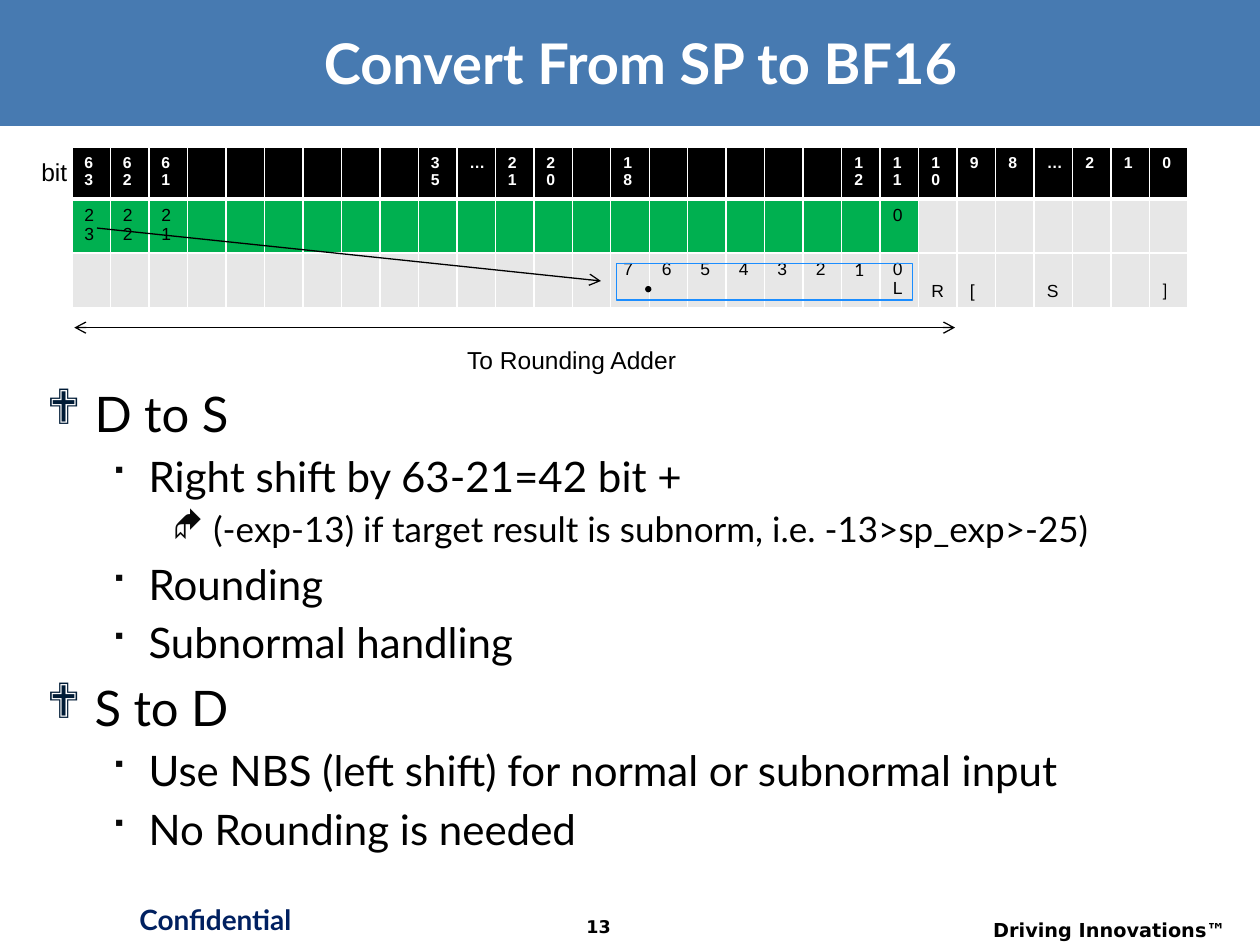
from lxml import etree
from pptx import Presentation
from pptx.dml.color import RGBColor
from pptx.enum.shapes import MSO_CONNECTOR, MSO_SHAPE
from pptx.enum.text import MSO_ANCHOR, MSO_AUTO_SIZE, PP_ALIGN
from pptx.oxml.ns import qn
from pptx.util import Inches, Pt

LEFT, CENTER, RIGHT = PP_ALIGN.LEFT, PP_ALIGN.CENTER, PP_ALIGN.RIGHT
TOP, MIDDLE, BOTTOM = MSO_ANCHOR.TOP, MSO_ANCHOR.MIDDLE, MSO_ANCHOR.BOTTOM
RECTANGLE, DOT = MSO_SHAPE.RECTANGLE, MSO_SHAPE.FLOWCHART_CONNECTOR
STRAIGHT = MSO_CONNECTOR.STRAIGHT
NO_AUTOFIT = MSO_AUTO_SIZE.NONE

COLORS = {
    "band": "477AB1", "white": "FFFFFF", "black": "000000", "navy": "002060",
    "mantissa": "00B050", "unused": "E7E7E7", "frame": "1B8DFF",
    "diamond": "001B36", "marker": "080808",
}

# Bit table: column index -> text
COLUMNS = 29
BITS = {0: "63", 1: "62", 2: "61", 9: "35", 10: "…", 11: "21", 12: "20", 14: "18",
        20: "12", 21: "11", 22: "10", 23: "9", 24: "8", 25: "…", 26: "2", 27: "1", 28: "0"}
SOURCE_BITS = {0: "23", 1: "22", 2: "21", 21: "0"}
RESULT_BITS = {14: "7", 15: "6", 16: "5", 17: "4", 18: "3", 19: "2", 20: "1", 21: "0 L"}
ROUNDING_BITS = {22: "R", 23: "[", 25: "S", 28: "]"}
LAST_MANTISSA = 21
LATO_CELLS = {(2, 20), (2, 28)}

# Outline levels: bullet, bullet colour, left margin, hanging indent, size
LEVELS = [("❖", "diamond", 0.38, 0.38, 28),
          ("■", "marker", 0.81, 0.31, 24),
          ("◆", "marker", 1.25, 0.25, 20)]
OUTLINE = [
    (0, "D to S"),
    (1, "Right shift by 63-21=42 bit +"),
    (2, " (-exp-13) if target result is subnorm, i.e. -13>sp_exp>-25)"),
    (1, "Rounding"),
    (1, "Subnormal handling"),
    (0, "S to D"),
    (1, "Use NBS (left shift) for normal or subnormal input"),
    (1, "No Rounding is needed"),
]


def rgb(color):
    return RGBColor.from_string(COLORS[color])


def add_xml(parent, tag, **attributes):
    return etree.SubElement(parent, qn(tag), attributes)


def write(paragraph, text, size, font="Arial", color="black", bold=False, align=LEFT):
    paragraph.alignment = align
    run = paragraph.add_run()
    run.text = text
    for name, value in {"size": Pt(size), "name": font, "bold": bold}.items():
        setattr(run.font, name, value)
    run.font.color.rgb = rgb(color)
    return run


def place(item, left, top, width, height):
    box = {"left": left, "top": top, "width": width, "height": height}
    for name, value in box.items():
        setattr(item, name, Inches(value))


def add_label(slide, box, text, size, **style):
    label = slide.shapes.add_textbox(*map(Inches, box))
    label.text_frame.word_wrap = True
    write(label.text_frame.paragraphs[0], text, size, **style)


def add_block(slide, kind, box, fill=None, line=None):
    block = slide.shapes.add_shape(kind, *map(Inches, box))
    block.shadow.inherit = False
    if fill:
        block.fill.solid()
        block.fill.fore_color.rgb = rgb(fill)
    else:
        block.fill.background()
    if line:
        block.line.color.rgb = rgb(line)
        block.line.width = Pt(0.75)
    else:
        block.line.fill.background()
    return block


def add_arrow(slide, start, end, ends=("a:tailEnd",)):
    arrow = slide.shapes.add_connector(STRAIGHT, *map(Inches, start + end))
    arrow.line.color.rgb = rgb("black")
    arrow.line.width = Pt(0.75)
    properties = arrow._element.spPr
    for tag in ends:
        add_xml(properties.find(qn("a:ln")), tag, type="arrow")
    add_xml(properties, "a:effectLst")


def add_title(slide, text):
    # The band lies behind the title
    band = add_block(slide, RECTANGLE, (0, 0, 10, 1), fill="band")
    slide.shapes._spTree.insert(2, band._element)
    title = slide.shapes.title
    place(title, 0.35, 0.16, 9.47, 0.66)
    frame = title.text_frame
    frame.auto_size = NO_AUTOFIT
    frame.vertical_anchor = MIDDLE
    run = write(frame.paragraphs[0], text, 32, "Lato", "white", True, CENTER)
    effects = etree.Element(qn("a:effectLst"))
    shadow = add_xml(effects, "a:outerShdw", dist="38100", dir="2700000")
    add_xml(shadow, "a:srgbClr", val=COLORS["black"])
    run._r.rPr.find(qn("a:solidFill")).addnext(effects)


def add_outline(slide):
    body = slide.placeholders[1]
    place(body, 0.27, 1.36, 9.44, 5.72)
    frame = body.text_frame
    # The inset leaves room for the bit table
    settings = {"auto_size": NO_AUTOFIT, "vertical_anchor": TOP, "margin_top": Inches(1.68)}
    for name, value in settings.items():
        setattr(frame, name, value)
    for index, (level, text) in enumerate(OUTLINE):
        bullet, color, margin, hanging, size = LEVELS[level]
        paragraph = frame.add_paragraph() if index else frame.paragraphs[0]
        paragraph.level = level
        paragraph.space_before = Pt(size * 0.2 if index else 0)
        write(paragraph, text, size, "Lato")
        properties = paragraph._p.get_or_add_pPr()
        properties.set("marL", str(Inches(margin)))
        properties.set("indent", str(-Inches(hanging)))
        add_xml(add_xml(properties, "a:buClr"), "a:srgbClr", val=COLORS[color])
        add_xml(properties, "a:buFont", typeface="Wingdings")
        add_xml(properties, "a:buChar", char=bullet)


def set_borders(cell, widths):
    properties = cell._tc.get_or_add_tcPr()
    for index, (side, width) in enumerate(widths.items()):
        border = etree.Element(qn(f"a:ln{side}"), {"w": str(Pt(width))})
        fill = add_xml(border, "a:solidFill")
        add_xml(fill, "a:srgbClr", val=COLORS["white"])
        properties.insert(index, border)


def add_bit_table(slide):
    box = map(Inches, (0.57, 1.17, 8.86, 1.27))
    table = slide.shapes.add_table(3, COLUMNS, *box).table
    table.first_row = table.horz_banding = False
    for column in table.columns:
        column.width = Inches(8.86 / COLUMNS)
    for row, height in zip(table.rows, (0.41, 0.43, 0.43)):
        row.height = Inches(height)

    rows = [BITS, SOURCE_BITS, RESULT_BITS | ROUNDING_BITS]
    for row, texts in enumerate(rows):
        for column in range(COLUMNS):
            cell = table.cell(row, column)
            in_mantissa = row == 1 and column <= LAST_MANTISSA
            fill = "black" if row == 0 else "mantissa" if in_mantissa else "unused"
            cell.fill.solid()
            cell.fill.fore_color.rgb = rgb(fill)
            set_borders(cell, {"L": 1, "R": 1, "T": 3 if row == 1 else 1,
                               "B": 3 if row == 0 else 1})
            if column in texts:
                header = row == 0
                write(cell.text_frame.paragraphs[0], texts[column], 9 if header else 10,
                      font="Lato" if (row, column) in LATO_CELLS else "Arial",
                      color="white" if header else "black", bold=header)
            if row == 2 and column in ROUNDING_BITS:
                cell.vertical_anchor = BOTTOM


def add_annotations(slide):
    # Result field with its binary point
    add_block(slide, DOT, (5.12, 2.27, 0.05, 0.05), fill="black")
    add_block(slide, RECTANGLE, (4.89, 2.09, 2.35, 0.29), line="frame")
    # Right shift and rounding range
    add_arrow(slide, (0.77, 1.81), (4.77, 2.23))
    add_arrow(slide, (7.58, 2.6), (0.59, 2.6), ends=("a:headEnd", "a:tailEnd"))
    add_label(slide, (0.23, 1.2, 0.44, 0.34), "bit", 14)
    add_label(slide, (3.61, 2.69, 1.93, 0.34), "To Rounding Adder", 14)


def add_footer(slide):
    add_label(slide, (0.89, 7.11, 1.64, 0.42), "Confidential", 16,
              font="Lato", color="navy", bold=True, align=CENTER)
    add_label(slide, (7.46, 7.24, 2.37, 0.26), "Driving Innovations™", 11,
              font="DejaVu Sans", bold=True, align=RIGHT)
    add_label(slide, (4.29, 7.22, 0.92, 0.28), "13", 10,
              font="DejaVu Sans", bold=True, align=CENTER)


def main():
    deck = Presentation()
    deck.slide_width, deck.slide_height = Inches(10), Inches(7.5)
    slide = deck.slides.add_slide(deck.slide_layouts[1])
    add_title(slide, "Convert From SP to BF16")
    add_outline(slide)
    add_bit_table(slide)
    add_annotations(slide)
    add_footer(slide)
    deck.save("out.pptx")


if __name__ == "__main__":
    main()
